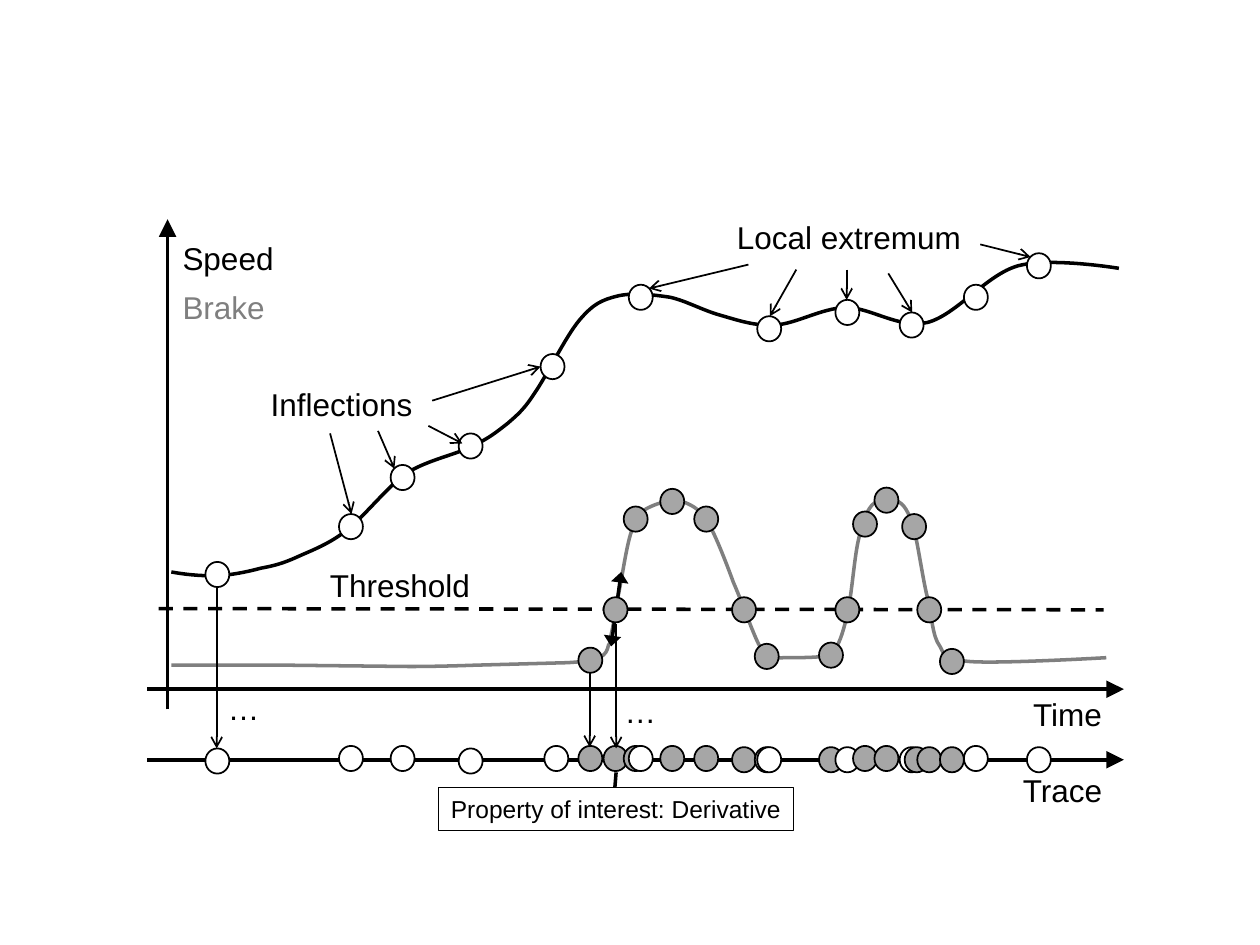
from typing import NamedTuple

from lxml import etree
from pptx import Presentation
from pptx.dml.color import RGBColor
from pptx.enum.dml import MSO_LINE
from pptx.enum.shapes import MSO_CONNECTOR, MSO_SHAPE
from pptx.enum.text import MSO_AUTO_SIZE
from pptx.oxml.ns import qn
from pptx.util import Pt

PX = 9144  # 100 px to the inch
DOT_WIDTH, DOT_HEIGHT = 19, 20
FONT = "Arial"
OVAL = MSO_SHAPE.OVAL
STRAIGHT = MSO_CONNECTOR.STRAIGHT
DASH = MSO_LINE.DASH
FIT_TEXT = MSO_AUTO_SIZE.SHAPE_TO_FIT_TEXT
COLORS = {"black": "000000", "white": "FFFFFF", "gray": "A6A6A6", "brake": "7F7F7F"}


class Dot(NamedTuple):
    left: int
    top: int
    fill: str


class Line(NamedTuple):
    start: tuple[int, int]
    end: tuple[int, int]
    width: int = 1
    tail: str = ""
    head: str = ""
    dashed: bool = False
    head_width: str = "med"
    head_length: str = "med"


class Label(NamedTuple):
    text: str
    left: int
    top: int
    width: int
    height: int = 40
    size: int = 18
    color: str = "black"
    framed: bool = False


class Curve(NamedTuple):
    start: tuple[int, int]
    segments: list[tuple[int, ...]]  # two numbers: straight; six: cubic Bezier
    color: str


BRAKE_CURVE = Curve((136, 528), [
    (231, 528), (325, 529), (349, 529, 376, 528, 376, 528), (450, 526),
    (467, 525, 469, 524, 475, 522), (481, 520, 482, 516, 483, 512),
    (485, 509, 484, 512, 485, 504), (487, 496, 489, 481, 492, 466),
    (495, 451, 498, 428, 503, 417), (507, 406, 512, 404, 519, 401),
    (526, 398, 536, 397, 544, 399), (551, 402, 556, 405, 562, 415),
    (569, 426, 582, 462, 582, 462), (589, 478, 597, 501, 602, 511),
    (607, 521, 607, 519, 610, 521), (614, 523, 617, 522, 624, 522),
    (631, 522, 646, 522, 653, 521), (659, 520, 660, 521, 663, 515),
    (667, 509, 670, 499, 673, 485), (676, 471, 678, 444, 681, 430),
    (684, 416, 687, 407, 692, 401), (697, 396, 705, 395, 710, 397),
    (716, 399, 719, 402, 724, 415), (728, 427, 732, 458, 736, 474),
    (740, 491, 740, 505, 746, 513), (751, 522, 747, 523, 769, 525),
    (792, 527, 878, 522, 878, 522)], "brake")
SPEED_CURVE = Curve((136, 454), [
    (147, 456, 158, 457, 169, 457), (181, 457, 196, 454, 207, 451),
    (218, 449, 225, 447, 236, 442), (247, 437, 261, 432, 275, 421),
    (289, 410, 306, 388, 322, 376), (339, 365, 362, 361, 375, 354),
    (388, 348, 394, 343, 403, 336), (411, 329, 416, 325, 425, 311),
    (434, 298, 449, 267, 460, 254), (471, 241, 478, 238, 490, 235),
    (502, 232, 519, 234, 532, 236), (545, 239, 557, 246, 571, 250),
    (585, 254, 599, 259, 615, 258), (632, 257, 651, 245, 671, 244),
    (691, 244, 713, 261, 736, 256), (759, 250, 783, 218, 808, 211),
    (834, 204, 888, 213, 888, 213)], "black")

AXES = [Line(start, end, 2, "triangle", head_width="lg", head_length="lg")
        for start, end in [((117, 547), (892, 547)), ((133, 563), (133, 174)),
                           ((117, 603), (892, 603))]]
THRESHOLD = Line((126, 483), (876, 484), 2, dashed=True)
SLOPE_MARK = Line((493, 454), (485, 513), 2, "triangle", "triangle", head_width="lg")
PROPERTY_LINK = Line((488, 625), (489, 613), 2)
POINTERS = [Line(start, end, tail="arrow") for start, end in [
    # Local extremum
    ((594, 210), (515, 229)), ((632, 214), (611, 251)), ((672, 214), (672, 238)),
    ((705, 217), (724, 248)), ((778, 194), (818, 204)),
    # Inflections
    ((262, 344), (279, 408)), ((300, 342), (313, 372)),
    ((340, 338), (367, 352)), ((343, 318), (429, 291)),
    # Projections onto the trace
    ((172, 467), (172, 594)), ((468, 534), (468, 593)), ((489, 495), (489, 594)),
]]

SPEED_DOTS = [Dot(left, top, "white") for left, top in [
    (163, 446), (269, 408), (310, 369), (364, 344), (429, 281), (499, 226),
    (601, 251), (663, 238), (714, 248), (765, 226), (815, 201)]]
BRAKE_DOTS = [Dot(left, top, "gray") for left, top in [
    (459, 514), (479, 474), (495, 402), (524, 388), (551, 402), (581, 474),
    (599, 511), (650, 510), (663, 474), (677, 406), (694, 387), (716, 408),
    (728, 474), (746, 515)]]
# Trace dots overlap from left to right
TRACE_DOTS = sorted(
    [Dot(left, top, "white") for left, top in [
        (163, 594), (269, 592), (310, 592), (364, 594), (432, 592), (499, 592),
        (601, 593), (663, 593), (714, 593), (765, 592), (815, 593)]]
    + [Dot(left, top, "gray") for left, top in [
        (459, 592), (479, 592), (495, 592), (524, 592), (551, 592), (581, 593),
        (599, 593), (650, 593), (677, 592), (694, 592), (718, 593), (728, 593),
        (746, 593)]])

LABELS = [
    Label("Speed", 135, 185, 92),
    Label("Brake", 135, 224, 85, color="brake"),
    Label("Local extremum", 575, 168, 198),
    Label("Inflections", 205, 301, 134),
    Label("Threshold", 252, 444, 131),
    Label("Time", 810, 547, 75),
    Label("Trace", 802, 607, 84),
    Label("…", 171, 542, 45),
    Label("…", 486, 544, 45),
    Label("Property of interest: Derivative", 348, 625, 282, 34, 14, framed=True),
]


def rgb(name: str) -> RGBColor:
    return RGBColor.from_string(COLORS[name])


def style_line(shape, color: str, width: float) -> None:
    shape.line.color.rgb = rgb(color)
    shape.line.width = Pt(width)


def draw_curve(slide, curve: Curve) -> None:
    builder = slide.shapes.build_freeform(*curve.start, scale=PX)
    for segment in curve.segments:
        builder.add_line_segments(list(zip(segment[::2], segment[1::2])), close=False)
    shape = builder.convert_to_shape()
    shape.shadow.inherit = False
    shape.fill.background()
    style_line(shape, curve.color, 2)
    # Join the three points of each Bezier segment into one curve command
    steps = iter(list(shape._element.iter(qn("a:lnTo"))))
    for segment in curve.segments:
        first, *others = [next(steps) for _ in segment[::2]]
        if others:
            first.tag = qn("a:cubicBezTo")
        for step in others:
            first.append(step[0])
            step.getparent().remove(step)


def draw_line(slide, line: Line) -> None:
    shape = slide.shapes.add_connector(
        STRAIGHT, *(value * PX for value in line.start + line.end))
    style_line(shape, "black", line.width)
    if line.dashed:
        shape.line.dash_style = DASH
    outline = shape.line._get_or_add_ln()
    for tag, arrow in (("a:headEnd", line.head), ("a:tailEnd", line.tail)):
        if arrow:
            etree.SubElement(outline, qn(tag), type=arrow,
                             w=line.head_width, len=line.head_length)
    etree.SubElement(shape._element.spPr, qn("a:effectLst"))


def draw_dot(slide, dot: Dot) -> None:
    shape = slide.shapes.add_shape(
        OVAL, dot.left * PX, dot.top * PX, DOT_WIDTH * PX, DOT_HEIGHT * PX)
    shape.shadow.inherit = False
    shape.fill.solid()
    shape.fill.fore_color.rgb = rgb(dot.fill)
    style_line(shape, "black", 1)


def draw_label(slide, label: Label) -> None:
    shape = slide.shapes.add_textbox(
        label.left * PX, label.top * PX, label.width * PX, label.height * PX)
    text_frame = shape.text_frame
    text_frame.word_wrap = False
    text_frame.auto_size = FIT_TEXT
    text_frame.text = label.text
    font = text_frame.paragraphs[0].runs[0].font
    font.name, font.size = FONT, Pt(label.size)
    font.color.rgb = rgb(label.color)
    if label.framed:
        style_line(shape, "black", 0.75)


def main() -> None:
    presentation = Presentation()
    presentation.slide_width, presentation.slide_height = 1000 * PX, 750 * PX
    slide = presentation.slides.add_slide(presentation.slide_layouts[6])

    # Curves, axes and threshold
    for curve in (BRAKE_CURVE, SPEED_CURVE):
        draw_curve(slide, curve)
    for line in AXES + [THRESHOLD, SLOPE_MARK, PROPERTY_LINK]:
        draw_line(slide, line)
    # Events on the curves and on the trace
    for dot in SPEED_DOTS + BRAKE_DOTS + TRACE_DOTS:
        draw_dot(slide, dot)
    # Pointers and wording
    for pointer in POINTERS:
        draw_line(slide, pointer)
    for label in LABELS:
        draw_label(slide, label)

    presentation.save("out.pptx")


if __name__ == "__main__":
    main()
